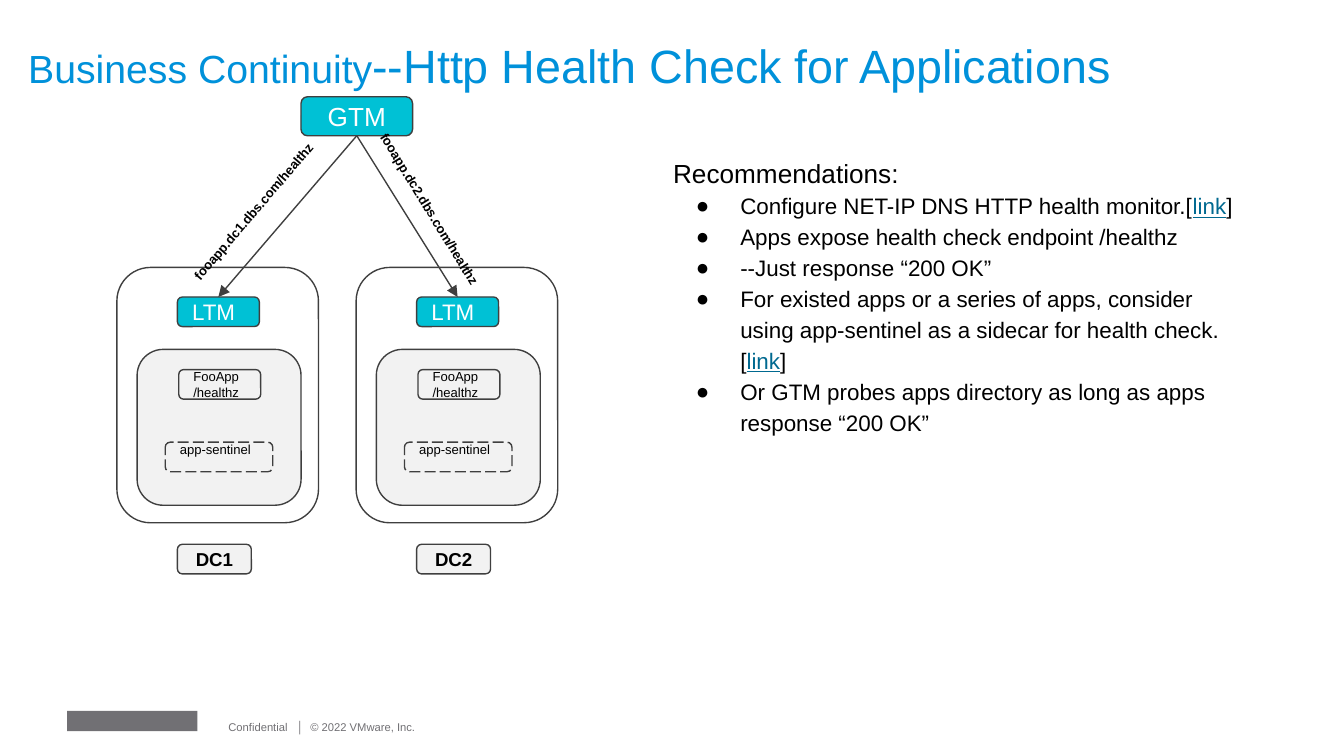
"""Build the business continuity slide on HTTP health checks."""
from dataclasses import dataclass, replace

import pptx
import pptx.dml.color
import pptx.enum.dml
import pptx.enum.shapes
import pptx.enum.text
import pptx.oxml.ns
import pptx.shapes.autoshape
import pptx.shapes.base
import pptx.slide
import pptx.text.text
import pptx.util
from lxml import etree

Inches = pptx.util.Inches
RGBColor = pptx.dml.color.RGBColor
Align = pptx.enum.text.PP_ALIGN
Anchor = pptx.enum.text.MSO_ANCHOR
qn = pptx.oxml.ns.qn

BLUE = RGBColor(0x00, 0x91, 0xDA)
TEAL = RGBColor(0x00, 0xC1, 0xD5)
LINK = RGBColor(0x00, 0x69, 0x90)
BLACK = RGBColor(0x00, 0x00, 0x00)
WHITE = RGBColor(0xFF, 0xFF, 0xFF)
PALE = RGBColor(0xF2, 0xF2, 0xF2)
OUTLINE = RGBColor(0x3F, 0x3F, 0x3F)
GREY = RGBColor(0x71, 0x70, 0x74)
DC_PITCH = 1.78


@dataclass(frozen=True)
class Box:
    left: float
    top: float
    width: float
    height: float
    fill: RGBColor
    label: str = ""
    size: float = 7
    color: RGBColor = BLACK
    bold: bool = False
    align: Align = Align.LEFT
    dashed: bool = False
    insets: tuple[float, float] = (0.1, 0.1)


@dataclass(frozen=True)
class Probe:
    url: str
    left: float
    top: float
    rotation: float


GTM = Box(2.24, 0.72, 0.83, 0.29, TEAL, "GTM", 14, WHITE, align=Align.CENTER)
SITE = Box(0.87, 1.99, 1.5, 1.9, WHITE)
LTM = Box(1.32, 2.21, 0.61, 0.22, TEAL, "LTM", 12, WHITE)
SITE_PARTS = (
    Box(1.02, 2.6, 1.22, 1.16, PALE),
    Box(1.33, 2.75, 0.61, 0.22, PALE, "FooApp\n/healthz"),
    Box(1.23, 3.29, 0.8, 0.22, PALE, "app-sentinel", dashed=True, insets=(0, 0.11)),
)
SITE_NAME = Box(1.32, 4.05, 0.55, 0.22, PALE, size=10, bold=True, align=Align.CENTER)
PROBES = (
    Probe("fooapp.dc1.dbs.com/healthz", 1.16, 1.42, 310.6),
    Probe("fooapp.dc2.dbs.com/healthz", 2.4, 1.44, 58.5),
)
RECOMMENDATIONS = (
    ("Configure NET-IP DNS HTTP health monitor.[", "link", "]"),
    ("Apps expose health check endpoint /healthz",),
    ("--Just response “200 OK”",),
    ("For existed apps or a series of apps, consider using app-sentinel "
     "as a sidecar for health check.[", "link", "]"),
    ("Or GTM probes apps directory as long as apps response “200 OK”",),
)


def style_run(run: pptx.text.text._Run, size: float, color: RGBColor,
              bold: bool = False) -> None:
    """Apply the slide's typeface, size, colour and weight."""
    run.font.name = "Arial"
    run.font.size = pptx.util.Pt(size)
    run.font.color.rgb = color
    run.font.bold = bold


def set_insets(frame: pptx.text.text.TextFrame, side: float, top: float,
               bottom: float) -> None:
    """Set the inner margins and turn wrapping on."""
    frame.word_wrap = True
    frame.margin_left = frame.margin_right = Inches(side)
    frame.margin_top, frame.margin_bottom = Inches(top), Inches(bottom)


def add_text(slide: pptx.slide.Slide, left: float, top: float, width: float,
             height: float, inset: float) -> pptx.shapes.autoshape.Shape:
    """Add an empty wrapping text box."""
    area = slide.shapes.add_textbox(Inches(left), Inches(top), Inches(width), Inches(height))
    set_insets(area.text_frame, inset, inset, inset)
    return area


def add_box(slide: pptx.slide.Slide, box: Box) -> pptx.shapes.autoshape.Shape:
    """Draw one rounded box with its label."""
    shape = slide.shapes.add_shape(
        pptx.enum.shapes.MSO_SHAPE.ROUNDED_RECTANGLE,
        Inches(box.left), Inches(box.top), Inches(box.width), Inches(box.height))
    shape.shadow.inherit = False
    shape.fill.solid()
    shape.fill.fore_color.rgb = box.fill
    shape.line.color.rgb = OUTLINE
    shape.line.width = pptx.util.Pt(0.75)
    if box.dashed:
        shape.line.dash_style = pptx.enum.dml.MSO_LINE.LONG_DASH
    if box.label:
        frame = shape.text_frame
        set_insets(frame, 0.1, *box.insets)
        frame.vertical_anchor = Anchor.MIDDLE
        frame.text = box.label
        for paragraph in frame.paragraphs:
            paragraph.alignment = box.align
            style_run(paragraph.runs[0], box.size, box.color, box.bold)
    return shape


def add_arrow(slide: pptx.slide.Slide, source: pptx.shapes.base.BaseShape,
              target: pptx.shapes.base.BaseShape) -> None:
    """Join the bottom of source to the top of target."""
    arrow = slide.shapes.add_connector(pptx.enum.shapes.MSO_CONNECTOR.STRAIGHT, 0, 0, 0, 0)
    arrow.begin_connect(source, 2)
    arrow.end_connect(target, 0)
    arrow.line.color.rgb = OUTLINE
    arrow.line.width = pptx.util.Pt(0.75)
    etree.SubElement(arrow.line._get_or_add_ln(), qn("a:tailEnd"), type="triangle")
    etree.SubElement(arrow._element.spPr, qn("a:effectLst"))


def add_title(slide: pptx.slide.Slide) -> None:
    """Place and format the two-size title."""
    title = slide.shapes.title
    title.left, title.top = Inches(0.21), Inches(0.17)
    title.width, title.height = Inches(9.47), Inches(0.43)
    frame = title.text_frame
    set_insets(frame, 0, 0, 0)
    frame.auto_size = pptx.enum.text.MSO_AUTO_SIZE.NONE
    frame.vertical_anchor = Anchor.TOP
    heading = frame.paragraphs[0]
    heading.alignment = Align.LEFT
    heading.line_spacing = 1.25
    for words, size in (("Business Continuity", 21),
                        ("--Http Health Check for Applications", 25)):
        run = heading.add_run()
        run.text = words
        style_run(run, size, BLUE)


def add_recommendations(slide: pptx.slide.Slide) -> None:
    """Write the heading and its bulleted advice."""
    frame = add_text(slide, 4.91, 1.07, 4.42, 2.26, 0.1).text_frame
    frame.text = "Recommendations:"
    style_run(frame.paragraphs[0].runs[0], 14, BLACK)
    for advice in RECOMMENDATIONS:
        item = frame.add_paragraph()
        properties = item._p.get_or_add_pPr()
        properties.set("marL", str(Inches(0.5)))
        properties.set("indent", str(Inches(-0.33)))
        bullet_color = etree.SubElement(properties, qn("a:buClr"))
        etree.SubElement(bullet_color, qn("a:srgbClr"), val=str(BLACK))
        etree.SubElement(properties, qn("a:buSzPts"), val="1200")
        etree.SubElement(properties, qn("a:buFont"), typeface="Arial")
        etree.SubElement(properties, qn("a:buChar"), char="●")
        item.line_spacing = 1.15
        item.font.size = pptx.util.Pt(12)
        for words in advice:
            run = item.add_run()
            run.text = words
            is_link = words == "link"
            style_run(run, 12, LINK if is_link else BLACK)
            run.font.underline = is_link


def add_footer(slide: pptx.slide.Slide) -> None:
    """Add the plain brand mark and the copyright line."""
    mark = slide.shapes.add_shape(pptx.enum.shapes.MSO_SHAPE.RECTANGLE,
                                  Inches(0.5), Inches(5.29), Inches(0.97), Inches(0.15))
    mark.shadow.inherit = False
    mark.fill.solid()
    mark.fill.fore_color.rgb = GREY
    mark.line.fill.background()
    frame = add_text(slide, 1.7, 5.34, 1.73, 0.15, 0).text_frame
    frame.vertical_anchor = Anchor.MIDDLE
    frame.text = "Confidential\t│\t© 2022 VMware, Inc."
    notice = frame.paragraphs[0]
    stops = etree.SubElement(notice._p.get_or_add_pPr(), qn("a:tabLst"))
    for position in (0.51, 0.61):
        etree.SubElement(stops, qn("a:tab"), pos=str(Inches(position)), algn="l")
    notice.line_spacing = 0.9
    style_run(notice.runs[0], 6, GREY)


def main() -> None:
    """Assemble and save the slide."""
    deck = pptx.Presentation()
    deck.slide_width, deck.slide_height = Inches(10), Inches(10 * 9 / 16)
    slide = deck.slides.add_slide(deck.slide_layouts[5])
    add_footer(slide)
    add_title(slide)
    add_recommendations(slide)
    gtm = add_box(slide, GTM)
    balancers = []
    for index in range(2):
        site_name = replace(SITE_NAME, label=f"DC{index + 1}")
        site, ltm, *parts = (replace(box, left=box.left + index * DC_PITCH)
                             for box in (SITE, LTM, *SITE_PARTS, site_name))
        add_box(slide, site)
        balancers.append(add_box(slide, ltm))
        for part in parts:
            add_box(slide, part)
    for balancer in balancers:
        add_arrow(slide, gtm, balancer)
    for probe in PROBES:
        caption = add_text(slide, probe.left, probe.top, 1.55, 0.32, 0.1)
        caption.rotation = probe.rotation
        caption.text_frame.text = probe.url
        style_run(caption.text_frame.paragraphs[0].runs[0], 7, BLACK, bold=True)
    deck.save("out.pptx")


if __name__ == "__main__":
    main()
